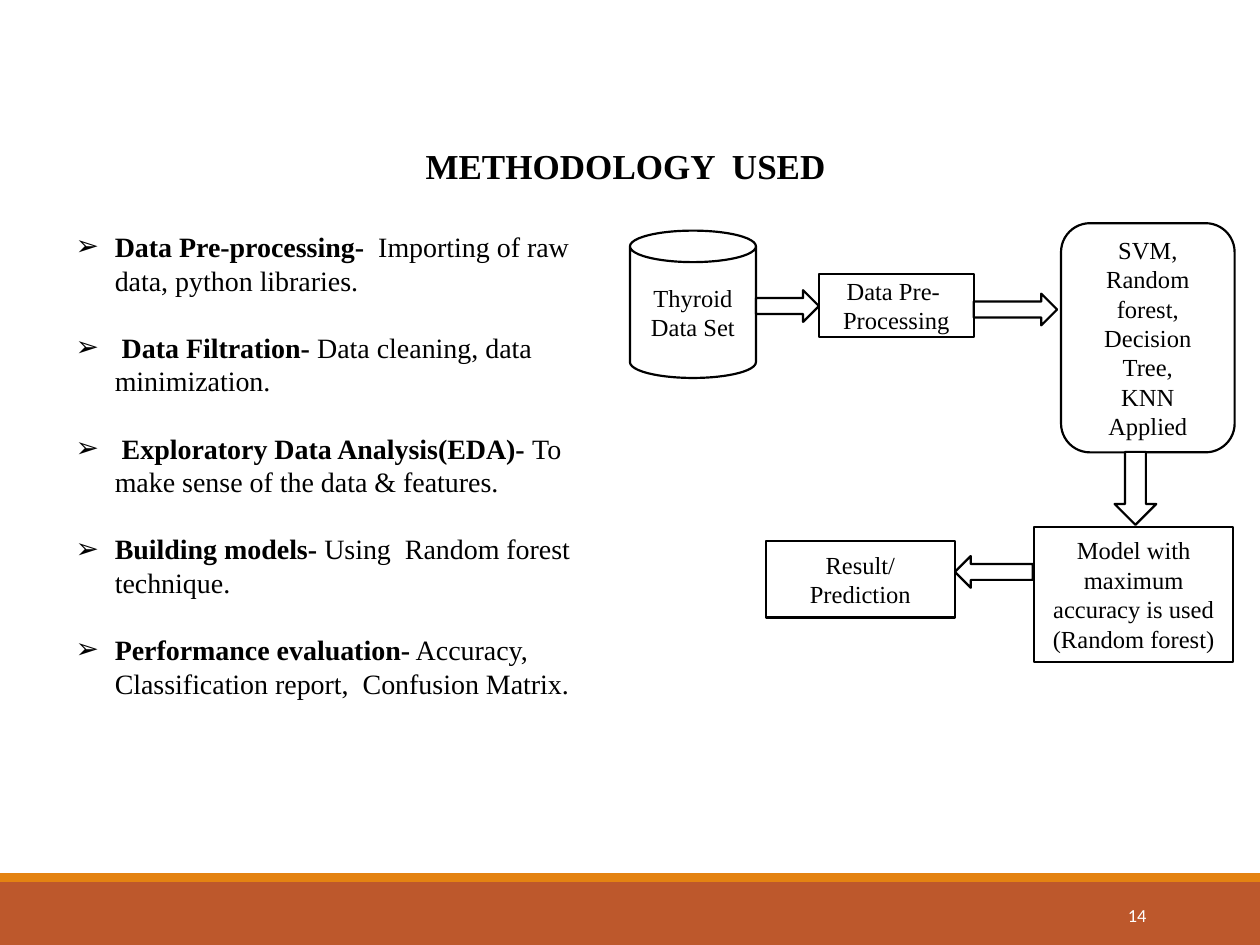
from dataclasses import dataclass

import pptx
import pptx.dml.color
import pptx.enum.shapes
import pptx.enum.text
import pptx.oxml
import pptx.oxml.ns
import pptx.util

Cm = pptx.util.Cm
Pt = pptx.util.Pt
Shape = pptx.enum.shapes.MSO_SHAPE
Align = pptx.enum.text.PP_ALIGN
Anchor = pptx.enum.text.MSO_ANCHOR


@dataclass(frozen=True)
class Theme:
    """Colours, fonts and sizes of the slide."""
    ink: str = "000000"
    paper: str = "FFFFFF"
    band: str = "BD582C"
    accent: str = "E48312"
    serif: str = "Times New Roman"
    sans: str = "Calibri"
    title_size: float = 20
    body_size: float = 16
    node_size: float = 14
    number_size: float = 10.5
    outline: float = 1.25
    list_gap: float = 19.2


THEME = Theme()

STEPS = [
    ("", "Data Pre-processing-  ", "Importing of raw data, python libraries."),
    (" ", "Data Filtration-", " Data cleaning, data minimization."),
    (" ", "Exploratory Data Analysis(EDA)- ", "To make sense of the data & features."),
    ("", "Building models- ", "Using  Random forest technique."),
    ("", "Performance evaluation-", " Accuracy, Classification report,  Confusion Matrix."),
]

NODES = [
    (Shape.ROUNDED_RECTANGLE, (8.69, 0, 3.5, 4.62),
     ["SVM,", "Random forest, Decision Tree,", "KNN", "Applied"]),
    (Shape.RECTANGLE, (3.81, 1.02, 3.12, 1.27), ["Data Pre-  Processing"]),
    (Shape.CAN, (0, 0.15, 2.54, 2.97), ["Thyroid Data Set"]),
    (Shape.RECTANGLE, (8.15, 6.12, 4.01, 2.72),
     ["Model with maximum accuracy is used (Random forest)"]),
    (Shape.RECTANGLE, (2.74, 6.4, 3.81, 1.55), ["Result/ Prediction"]),
    (Shape.RIGHT_ARROW, (2.54, 1.35, 1.27, 0.64), []),
    (Shape.RIGHT_ARROW, (6.93, 1.42, 1.68, 0.64), []),
    (Shape.DOWN_ARROW, (9.77, 4.61, 0.84, 1.47), []),
    (Shape.LEFT_ARROW, (6.55, 6.71, 1.57, 0.64), []),
]


def colour(value):
    """Turn a hex string into a colour."""
    return pptx.dml.color.RGBColor.from_string(value)


def place(shape, box):
    """Move a shape to a box given in centimetres."""
    shape.left, shape.top, shape.width, shape.height = map(Cm, box)


def add_text(paragraph, text, size, font=THEME.serif, ink=THEME.ink, bold=False, align=None):
    """Append a formatted run to a paragraph."""
    run = paragraph.add_run()
    run.text = text
    run.font.size = Pt(size)
    run.font.name = font
    run.font.bold = bold
    run.font.color.rgb = colour(ink)
    if align is not None:
        paragraph.alignment = align


def prepare_frame(shape, anchor):
    """Give a shape's text frame wrapping, a fixed size and an anchor."""
    frame = shape.text_frame
    frame.word_wrap = True
    frame.auto_size = pptx.enum.text.MSO_AUTO_SIZE.NONE
    frame.vertical_anchor = anchor
    return frame


def add_block(slide, kind, box, fill, line=None):
    """Add a flat filled shape with an optional outline."""
    shape = slide.shapes.add_shape(kind, *map(Cm, box))
    shape.shadow.inherit = False
    shape.fill.solid()
    shape.fill.fore_color.rgb = colour(fill)
    if line:
        shape.line.color.rgb = colour(line)
        shape.line.width = Pt(THEME.outline)
    else:
        shape.line.fill.background()
    return shape


def set_bullet(paragraph, character, indent):
    """Give a paragraph a hanging bullet."""
    properties = paragraph._p.get_or_add_pPr()
    properties.set("marL", str(indent))
    properties.set("indent", str(-indent))
    bullet = pptx.oxml.parse_xml(
        f'<a:buChar {pptx.oxml.ns.nsdecls("a")} char="{character}"/>')
    properties.append(bullet)


def build_footer(slide, box):
    """Draw the bottom bands and the page number."""
    left, top, width, height = box
    stripe = 0.18
    add_block(slide, Shape.RECTANGLE, (left, top + stripe, width, height - stripe), THEME.band)
    add_block(slide, Shape.RECTANGLE, (left, top, width, stripe), THEME.accent)
    number = slide.shapes.add_textbox(
        Cm(left + 20.62), Cm(top + 0.33), Cm(2.74), Cm(1.02))
    frame = prepare_frame(number, Anchor.MIDDLE)
    add_text(frame.paragraphs[0], "14", THEME.number_size, font=THEME.sans,
             ink=THEME.paper, align=Align.RIGHT)


def build_title(slide, box):
    """Fill the title placeholder."""
    title = slide.shapes.title
    place(title, box)
    frame = prepare_frame(title, Anchor.TOP)
    add_text(frame.paragraphs[0], "METHODOLOGY  USED ", THEME.title_size,
             bold=True, align=Align.CENTER)


def build_steps(slide, box):
    """Fill the body placeholder with the list of steps."""
    body = slide.placeholders[1]
    place(body, box)
    frame = prepare_frame(body, Anchor.TOP)
    for index, (lead, name, detail) in enumerate(STEPS):
        paragraph = frame.add_paragraph() if index else frame.paragraphs[0]
        paragraph.space_before = Pt(0)
        paragraph.space_after = Pt(THEME.list_gap)
        set_bullet(paragraph, "➢", Cm(0.79))
        add_text(paragraph, lead + name, THEME.body_size, bold=True)
        add_text(paragraph, detail, THEME.body_size)


def build_flow(slide, box):
    """Draw the flow diagram of nodes and block arrows."""
    left, top = box[:2]
    for kind, (x, y, width, height), lines in NODES:
        node = add_block(slide, kind, (left + x, top + y, width, height),
                         THEME.paper, THEME.ink)
        frame = prepare_frame(node, Anchor.MIDDLE)
        for index, line in enumerate(lines):
            paragraph = frame.add_paragraph() if index else frame.paragraphs[0]
            add_text(paragraph, line, THEME.node_size, align=Align.CENTER)


def main():
    """Build and save the presentation."""
    presentation = pptx.Presentation()
    presentation.slide_width = Cm(25.4)
    presentation.slide_height = Cm(19.05)
    slide = presentation.slides.add_slide(presentation.slide_layouts[1])
    build_footer(slide, (0, 17.6, 25.4, 1.45))
    build_flow(slide, (12.7, 4.5, 12.19, 8.84))
    build_steps(slide, (1.27, 4.5, 11.23, 9.83))
    build_title(slide, (0, 2.79, 25.4, 1.12))
    presentation.save("out.pptx")


if __name__ == "__main__":
    main()
